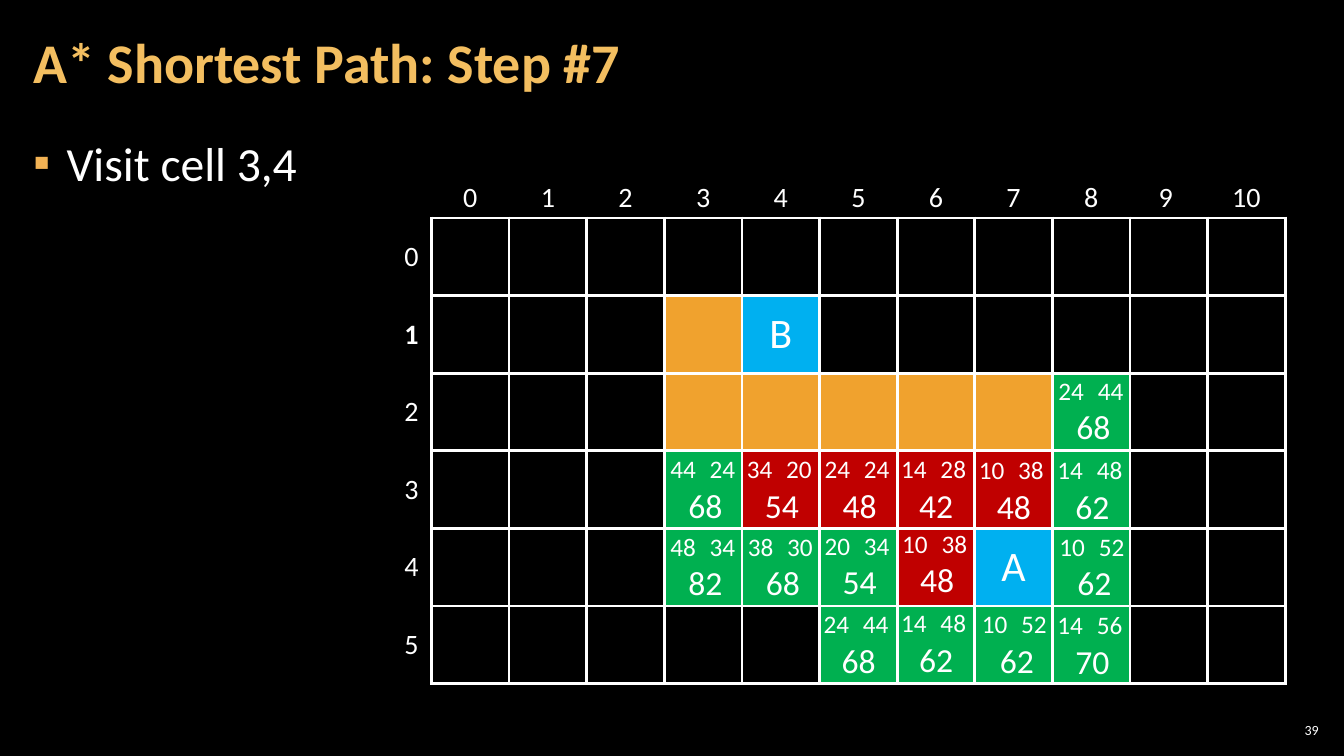
from lxml import etree
from pptx import Presentation
from pptx import util as u
from pptx.dml.color import RGBColor
from pptx.enum import text
from pptx.oxml import ns

BLACK = RGBColor(0x00, 0x00, 0x00)
WHITE = RGBColor(0xFF, 0xFF, 0xFF)
GOLD = RGBColor(0xF3, 0xBE, 0x60)
BULLET = RGBColor(0xF2, 0xB2, 0x54)
WALL = RGBColor(0xF0, 0xA2, 0x2E)
ENDPOINT = RGBColor(0x00, 0xB0, 0xF0)
OPEN = RGBColor(0x00, 0xB0, 0x50)
VISITED = RGBColor(0xC0, 0x00, 0x00)

FILLS = {"W": WALL, "A": ENDPOINT, "B": ENDPOINT, "o": OPEN, "v": VISITED}
GRID = [
    "...........",
    "...WB......",
    "...WWWWWo..",
    "...ovvvvo..",
    "...ooovAo..",
    ".....oooo..",
]
COLUMN_LABELS = ["0", "1", "2", "3", "4", "5", "6", "7", "8", "9 ", "10"]
LABEL_SIZE, CELL_SIZE = 40, 77

COSTS = [
    (884, 598, 14, 48), (884, 445, 14, 28), (1039, 446, 14, 48),
    (1041, 522, 10, 52), (964, 599, 10, 52), (1039, 600, 14, 56),
    (808, 445, 24, 24), (808, 521, 20, 34), (732, 522, 38, 30),
    (1040, 367, 24, 44), (961, 446, 10, 38), (885, 519, 10, 38),
    (807, 599, 24, 44), (731, 445, 34, 20), (655, 445, 44, 24),
    (655, 522, 48, 34),
]

CENTER = {"alignment": text.PP_ALIGN.CENTER}
LEFT = {"alignment": text.PP_ALIGN.LEFT}
RIGHT = {"alignment": text.PP_ALIGN.RIGHT}


def set_all(target, values):
    for name, value in values.items():
        setattr(target, name, value)


class GridSlide:
    font = "Calibri"
    scale = 9144

    def __init__(self, presentation):
        set_all(presentation, {"slide_width": self.px(1333), "slide_height": self.px(750)})
        self.slide = presentation.slides.add_slide(presentation.slide_layouts[1])
        fill = self.slide.background.fill
        fill.solid()
        fill.fore_color.rgb = BLACK

    def px(self, length):
        return u.Emu(length * self.scale)

    def margins(self, side, end):
        return {
            "margin_left": self.px(side), "margin_right": self.px(side),
            "margin_top": self.px(end), "margin_bottom": self.px(end),
        }

    def add_words(self, frame, words, size, layout, color=WHITE, bold=False):
        paragraph = frame.paragraphs[0]
        set_all(paragraph, layout)
        run = paragraph.add_run()
        run.text = words
        set_all(run.font, {"name": self.font, "size": u.Pt(size), "bold": bold})
        run.font.color.rgb = color
        return paragraph

    def placeholder(self, shape, box, words, size, layout, anchor, **style):
        names = ("left", "top", "width", "height")
        set_all(shape, dict(zip(names, map(self.px, box))))
        set_all(shape.text_frame, {
            "word_wrap": True, "vertical_anchor": anchor,
            "auto_size": text.MSO_AUTO_SIZE.NONE, **self.margins(12, 4),
        })
        return self.add_words(shape.text_frame, words, size, layout, **style)

    def title(self, words):
        self.placeholder(
            self.slide.shapes.title, (21, 4, 1047, 121), words, 40,
            {**LEFT, "line_spacing": 0.9}, text.MSO_ANCHOR.MIDDLE,
            color=GOLD, bold=True,
        )

    def body(self, words):
        layout = {**LEFT, "line_spacing": 1.05, "space_before": u.Pt(0), "space_after": u.Pt(6)}
        paragraph = self.placeholder(
            self.slide.placeholders[1], (21, 126, 1291, 609), words, 34,
            layout, text.MSO_ANCHOR.TOP,
        )
        properties = paragraph._p.get_or_add_pPr()
        properties.set("marL", str(self.px(33)))
        properties.set("indent", str(self.px(-33)))
        color = etree.SubElement(properties, ns.qn("a:buClr"))
        etree.SubElement(color, ns.qn("a:srgbClr"), val=str(BULLET))
        etree.SubElement(properties, ns.qn("a:buFont"), typeface=self.font)
        etree.SubElement(properties, ns.qn("a:buChar"), char="▪")

    def text_box(self, shapes, box, words, size, layout, **frame_values):
        shape = shapes.add_textbox(*map(self.px, box))
        set_all(shape.text_frame, {"word_wrap": True, **frame_values})
        self.add_words(shape.text_frame, words, size, layout)

    def slide_number(self, words):
        self.text_box(
            self.slide.shapes, (1265, 714, 47, 21), words, 10, RIGHT,
            vertical_anchor=text.MSO_ANCHOR.MIDDLE, **self.margins(4, 4),
        )

    def cell(self, cell, words, size, sides, color=None, bold=False):
        set_all(cell, {"vertical_anchor": text.MSO_ANCHOR.MIDDLE, **self.margins(8, 4)})
        properties = cell._tc.get_or_add_tcPr()
        for side in "LRTB":
            line = etree.SubElement(properties, ns.qn("a:ln" + side), w=str(u.Pt(2.25)))
            if side in sides:
                fill = etree.SubElement(line, ns.qn("a:solidFill"))
                etree.SubElement(fill, ns.qn("a:srgbClr"), val=str(WHITE))
            else:
                etree.SubElement(line, ns.qn("a:noFill"))
        if color is None:
            cell.fill.background()
        else:
            cell.fill.solid()
            cell.fill.fore_color.rgb = color
        if words:
            self.add_words(cell.text_frame, words, size, CENTER, bold=bold)

    def grid(self):
        rows, columns = len(GRID), len(COLUMN_LABELS)
        box = (388, 175, LABEL_SIZE + columns * CELL_SIZE, LABEL_SIZE + rows * CELL_SIZE)
        table = self.slide.shapes.add_table(rows + 1, columns + 1, *map(self.px, box)).table
        set_all(table, {"first_row": False, "horz_banding": False})
        for index, column in enumerate(table.columns):
            column.width = self.px(CELL_SIZE if index else LABEL_SIZE)
        for index, row in enumerate(table.rows):
            row.height = self.px(CELL_SIZE if index else LABEL_SIZE)
        self.cell(table.cell(0, 0), "", 20, "")
        for number, label in enumerate(COLUMN_LABELS, 1):
            self.cell(table.cell(0, number), label, 20, "B")
        for number, marks in enumerate(GRID):
            self.cell(table.cell(number + 1, 0), str(number), 20, "R", bold=number == 1)
            for column, mark in enumerate(marks, 1):
                words = mark if mark in "AB" else ""
                self.cell(table.cell(number + 1, column), words, 30, "LRTB", FILLS.get(mark))

    def cost(self, left, top, from_start, to_goal):
        shapes = self.slide.shapes.add_group_shape().shapes
        grow = {"auto_size": text.MSO_AUTO_SIZE.SHAPE_TO_FIT_TEXT}
        self.text_box(shapes, (left + 7, top + 31, 75, 50), str(from_start + to_goal), 24, CENTER, **grow)
        for offset, value in ((0, from_start), (39, to_goal)):
            self.text_box(shapes, (left + offset, top, 50, 40), str(value), 18, LEFT, **grow)


def main():
    presentation = Presentation()
    page = GridSlide(presentation)
    page.title("A* Shortest Path: Step #7")
    page.body("Visit cell 3,4")
    page.slide_number("39")
    page.grid()
    for cost in COSTS:
        page.cost(*cost)
    presentation.save("out.pptx")


if __name__ == "__main__":
    main()
